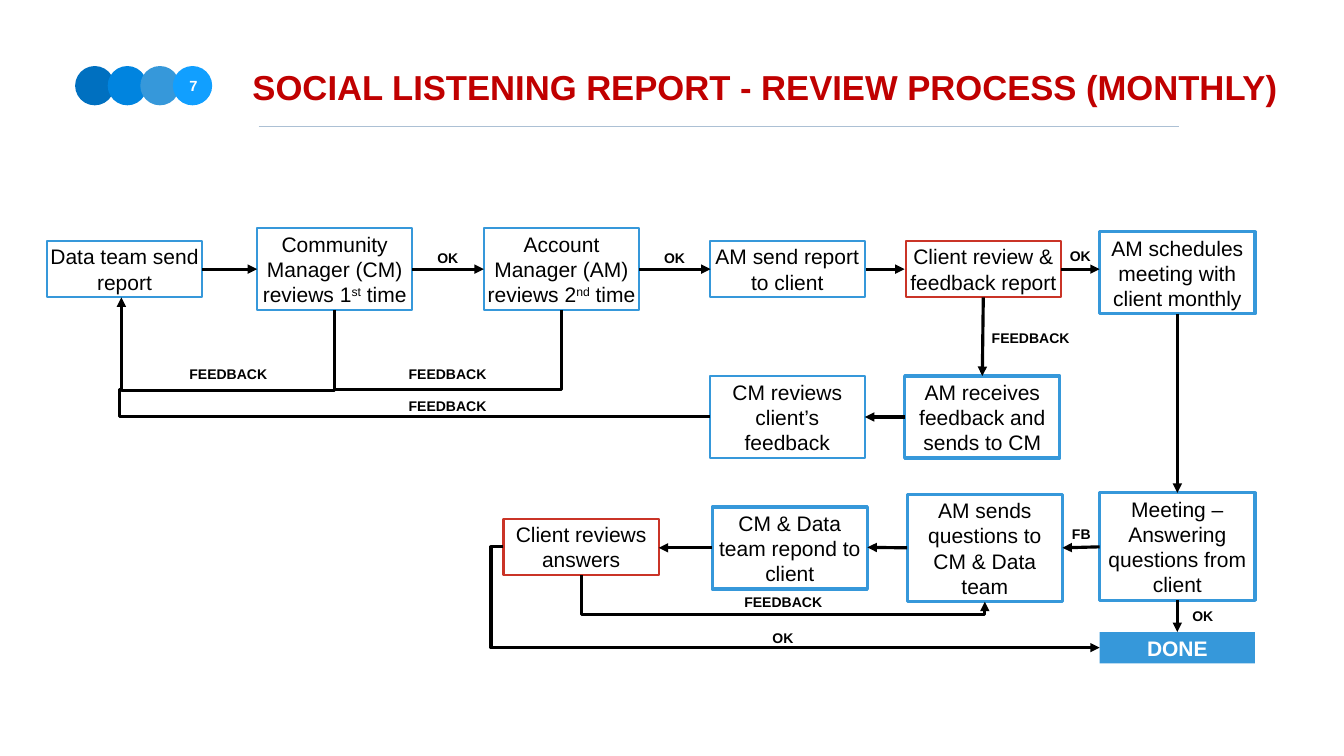
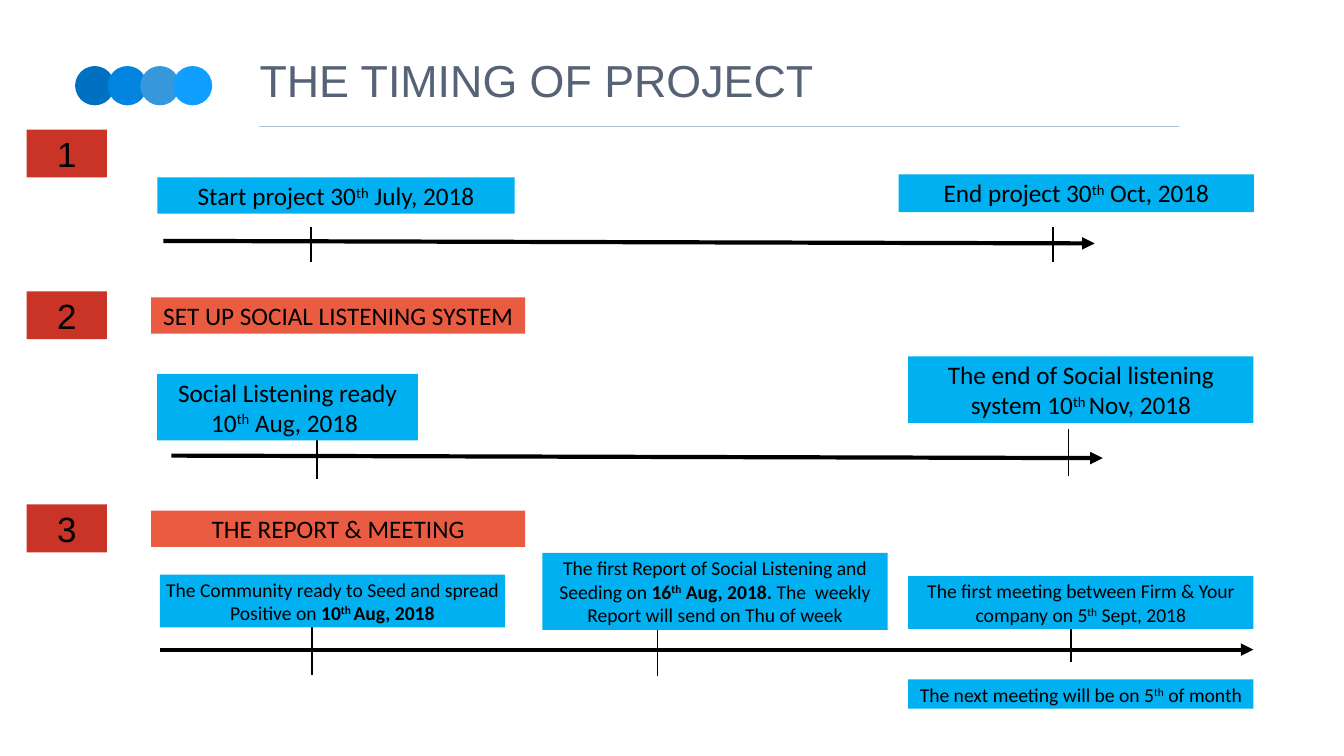
from dataclasses import dataclass

import pptx
import pptx.dml.color
import pptx.enum.shapes
import pptx.enum.text
import pptx.oxml
import pptx.oxml.ns
import pptx.util

# Grid: the slide is 80 columns by 45 rows of a third of an inch
COLUMNS, ROWS = 80, 45
CELL = pptx.util.Inches(1) / 3

COLORS = {
    "step": "3698DA", "client": "CA3427", "ink": "000000", "white": "FFFFFF",
    "alert": "C00000", "title": "566275", "rule": "ACC0D4",
    "flag": "00B0F0", "heading": "EA5C42",
}
DOTS = ["0070C0", "0084DF", "3698DA", "119FFF"]
MARGIN = pptx.util.Inches(0.06)
SHAPES = pptx.enum.shapes.MSO_SHAPE
CONNECTORS = pptx.enum.shapes.MSO_CONNECTOR
ALIGN = pptx.enum.text.PP_ALIGN
ANCHOR = pptx.enum.text.MSO_ANCHOR


@dataclass
class Style:
    size: float
    color: str = "ink"
    font: str = "Arial"
    bold: bool = False


@dataclass
class Step:
    left: float
    middle: float
    lines: int
    text: str
    color: str = "step"
    weight: float = 3


@dataclass
class Label:
    left: float
    top: float
    text: str = "OK"


@dataclass
class Arrow:
    start: tuple[float, float]
    end: tuple[float, float]
    weight: float = 4.5
    head: bool = True


@dataclass
class Elbow:
    """A bent line; bend is where its middle leg lies (None: one corner)."""
    start: tuple[float, float]
    end: tuple[float, float]
    bend: float | None
    vertical: bool = True
    head: bool = True


@dataclass
class Flag:
    left: float
    top: float
    width: float
    height: float
    text: str
    size: float = 36
    color: str = "flag"


STEP_STYLE = Style(30)
DONE_STYLE = Style(30, "white", bold=True)
LABEL_STYLE = Style(20, bold=True)
NUMBER_STYLE = Style(50)
LABEL_WIDTHS = {"OK": 1.59, "FB": 1.47, "FEEDBACK": 5.04}
STEP_WIDTH = 9.24


def grid(*lengths: float) -> list[int]:
    return [round(length * CELL) for length in lengths]


def rgb(name: str) -> pptx.dml.color.RGBColor:
    return pptx.dml.color.RGBColor.from_string(COLORS.get(name, name))


def write(shape, text: str, style: Style, align=ALIGN.CENTER, anchor=ANCHOR.MIDDLE,
          wrap: bool = True) -> None:
    """Fill a shape with text; *stars* mark bold, ^carets^ superscript."""
    frame = shape.text_frame
    frame.auto_size = pptx.enum.text.MSO_AUTO_SIZE.NONE
    frame.word_wrap = wrap
    frame.vertical_anchor = anchor
    frame.margin_left = frame.margin_right = MARGIN
    frame.margin_top = frame.margin_bottom = MARGIN
    para = frame.paragraphs[0]
    para.alignment = align
    for bold_turn, part in enumerate(text.split("*")):
        for raised_turn, words in enumerate(part.split("^")):
            if not words:
                continue
            span = para.add_run()
            span.text = words
            span.font.size = pptx.util.Pt(style.size)
            span.font.name = style.font
            span.font.bold = style.bold or bold_turn % 2 == 1
            span.font.color.rgb = rgb(style.color)
            if raised_turn % 2:
                span.font._element.set("baseline", "30000")


def add_box(page, area: tuple, fill: str | None = None, outline: str | None = None,
            weight: float = 3, kind=SHAPES.RECTANGLE):
    box = page.shapes.add_shape(kind, *grid(*area))
    box.shadow.inherit = False
    if fill:
        box.fill.solid()
        box.fill.fore_color.rgb = rgb(fill)
    else:
        box.fill.background()
    if outline:
        box.line.color.rgb = rgb(outline)
        box.line.width = pptx.util.Pt(weight)
    else:
        box.line.fill.background()
    return box


def finish_line(line, color: str, weight: float, head: bool) -> None:
    line.line.color.rgb = rgb(color)
    line.line.width = pptx.util.Pt(weight)
    if head:
        outline = line.line._get_or_add_ln()
        pptx.oxml.ns.qn("a:tailEnd")
        outline.append(pptx.oxml.parse_xml(
            f'<a:tailEnd {pptx.oxml.ns.nsdecls("a")} type="triangle"/>'))
    line.element.spPr.append(pptx.oxml.parse_xml(
        f'<a:effectLst {pptx.oxml.ns.nsdecls("a")}/>'))


def add_arrow(page, arrow: Arrow, color: str = "ink"):
    line = page.shapes.add_connector(CONNECTORS.STRAIGHT,
                                     *grid(*arrow.start, *arrow.end))
    finish_line(line, color, arrow.weight, arrow.head)
    return line


def add_elbow(page, elbow: Elbow) -> None:
    (x1, y1), (x2, y2) = elbow.start, elbow.end
    along, origin = x2 - x1, x1
    ends = (x1, y1, x2, y2)
    if elbow.vertical:
        # A first leg going down is a connector turned a quarter about its centre
        along, origin = y2 - y1, y1
        across = x1 - x2
        mid_x, mid_y = (x1 + x2) / 2, (y1 + y2) / 2
        ends = (mid_x - along / 2, mid_y - across / 2,
                mid_x + along / 2, mid_y + across / 2)
    line = page.shapes.add_connector(CONNECTORS.ELBOW, *grid(*ends))
    properties = line.element.spPr
    if elbow.vertical:
        properties.find(pptx.oxml.ns.qn("a:xfrm")).set("rot", "5400000")
    geometry = properties.find(pptx.oxml.ns.qn("a:prstGeom"))
    if elbow.bend is None:
        geometry.set("prst", "bentConnector2")
    else:
        share = round((elbow.bend - origin) / along * 100000)
        for old in list(geometry):
            geometry.remove(old)
        geometry.append(pptx.oxml.parse_xml(
            f'<a:avLst {pptx.oxml.ns.nsdecls("a")}>'
            f'<a:gd name="adj1" fmla="val {share}"/></a:avLst>'))
    finish_line(line, "ink", 4.5, elbow.head)


def add_step(page, step: Step) -> None:
    height = 0.32 + 1.52 * step.lines
    area = (step.left, step.middle - height / 2, STEP_WIDTH, height)
    write(add_box(page, area, None, step.color, step.weight), step.text, STEP_STYLE)


def add_text(page, area: tuple, text: str, style: Style, anchor=ANCHOR.MIDDLE) -> None:
    box = page.shapes.add_textbox(*grid(*area))
    write(box, text, style, anchor=anchor, wrap=False)


def add_page(deck, layout, title: str, area: tuple, style: Style):
    page = deck.slides.add_slide(layout)
    holder = page.shapes.title
    holder.left, holder.top, holder.width, holder.height = grid(*area)
    write(holder, title, style, ALIGN.LEFT, ANCHOR.TOP)
    return page


def dress_layout(layout, page) -> None:
    """Draw the dots and the title rule once and hand them to the layout."""
    for holder in list(layout.placeholders)[1:]:
        holder.element.getparent().remove(holder.element)
    shared = [add_box(page, (4.47 + 1.94 * turn, 3.93, 2.34, 2.34), color, kind=SHAPES.OVAL)
              for turn, color in enumerate(DOTS)]
    shared.append(add_arrow(page, Arrow((15.39, 7.53), (70.2, 7.53), 2, False), "rule"))
    for shape in shared:
        layout.shapes.element.append(shape.element)


# Review process content
STEPS = [
    Step(2.79, 16.02, 2, "Data team send report"),
    Step(15.3, 16.02, 3, "Community Manager (CM) reviews 1^st^ time"),
    Step(28.8, 16.02, 3, "Account Manager (AM) reviews 2^nd^ time"),
    Step(42.24, 16.02, 2, "AM send report to client"),
    Step(53.91, 16.02, 2, "Client review & feedback report", "client"),
    Step(65.46, 16.24, 3, "AM schedules meeting with client monthly", weight=4.5),
    Step(53.85, 24.82, 3, "AM receives feedback and sends to CM", weight=4.5),
    Step(42.24, 24.82, 3, "CM reviews client’s feedback"),
    Step(65.46, 32.54, 4, "Meeting – Answering questions from client", weight=4.5),
    Step(54, 32.62, 4, "AM sends questions to CM & Data team", weight=4.5),
    Step(42.39, 32.62, 3, "CM & Data team repond to client", weight=4.5),
    Step(29.97, 32.55, 2, "Client reviews answers", "client"),
]
ARROWS = [Arrow((start, 16.02), (end, 16.02)) for start, end in (
    (12.03, 15.3), (24.54, 28.8), (38.04, 42.3), (51.54, 53.85), (63.15, 65.46))] + [
    Arrow((58.53, 17.7), (58.47, 22.38)),
    Arrow((53.85, 24.82), (51.48, 24.82)),
    Arrow((70.08, 18.69), (70.08, 29.34)),
    Arrow((70.08, 35.73), (70.08, 37.62)),
    Arrow((65.46, 32.55), (63.24, 32.61)),
    Arrow((54, 32.61), (51.63, 32.58)),
    Arrow((42.39, 32.61), (39.21, 32.61)),
]
ELBOWS = [
    Elbow((19.92, 18.45), (7.23, 17.7), 23.25),
    Elbow((33.42, 18.45), (19.92, 23.19), None, head=False),
    Elbow((42.27, 24.81), (7.29, 23.19), 7.11, vertical=False, head=False),
    Elbow((34.59, 34.23), (58.62, 35.82), 36.57),
    Elbow((29.97, 32.55), (65.46, 38.55), 29.22, vertical=False),
]
LABELS = [
    Label(25.86, 14.67), Label(39.36, 14.67), Label(63.51, 14.55),
    Label(70.8, 36), Label(45.81, 37.32), Label(63.63, 31.08, "FB"),
    Label(58.83, 19.44, "FEEDBACK"), Label(11.07, 21.6, "FEEDBACK"),
    Label(24.12, 21.6, "FEEDBACK"), Label(24.12, 23.46, "FEEDBACK"),
    Label(44.1, 35.16, "FEEDBACK"),
]

# Timing content
FLAGS = [
    Flag(9.36, 10.56, 21.27, 2.16, "Start project 30^th^ July, 2018"),
    Flag(53.49, 10.38, 21.15, 2.25, "End project 30^th^ Oct, 2018"),
    Flag(9, 17.7, 22.26, 2.16, "SET UP SOCIAL LISTENING SYSTEM", color="heading"),
    Flag(9.36, 22.26, 15.51, 3.96, "Social Listening ready 10^th^ Aug, 2018 "),
    Flag(54.06, 21.21, 20.55, 3.96, "The end of Social listening system 10^th ^Nov, 2018"),
    Flag(9, 30.39, 22.26, 2.16, "THE REPORT & MEETING", color="heading"),
    Flag(9.51, 34.2, 20.55, 3.15,
         "The Community ready to Seed and spread Positive on *10^th ^Aug, 2018*", 28),
    Flag(32.28, 32.91, 20.55, 4.59,
         "The first Report of Social Listening and Seeding on *16^th^ Aug, 2018. *"
         "The  weekly Report will send on Thu of week", 28),
    Flag(54.06, 34.29, 20.55, 3.15,
         "The first meeting between Firm & Your company on 5^th^ Sept, 2018", 28),
    Flag(54.06, 40.44, 20.55, 1.74, "The next meeting will be on 5^th^ of month", 28),
]
TIMELINES = [
    Arrow((9.72, 14.34), (65.16, 14.49), 6),
    Arrow((10.2, 27.12), (65.64, 27.27), 6),
    Arrow((9.51, 38.67), (74.61, 38.67), 6),
]
# Tick marks: column, top row, length
TICKS = [
    (18.51, 13.5, 2.1), (62.67, 13.5, 2.1), (18.87, 25.71, 2.82), (63.6, 25.53, 2.82),
    (18.57, 37.35, 2.82), (39.15, 37.41, 2.82), (63.75, 36.6, 2.82),
]
NUMBER_TOPS = [7.71, 17.34, 30.03]


def draw_process(page) -> None:
    add_text(page, (10.86, 4.41, 1.32, 1.41), "7", Style(21, "white", bold=True), ANCHOR.TOP)
    for step in STEPS:
        add_step(page, step)
    done = add_box(page, (65.46, 37.62, STEP_WIDTH, 1.86), "step")
    write(done, "DONE", DONE_STYLE)
    for arrow in ARROWS:
        add_arrow(page, arrow)
    for elbow in ELBOWS:
        add_elbow(page, elbow)
    for label in LABELS:
        add_text(page, (label.left, label.top, LABEL_WIDTHS[label.text], 1.35),
                 label.text, LABEL_STYLE)


def draw_timing(page) -> None:
    for arrow in TIMELINES:
        add_arrow(page, arrow)
    for column, top, length in TICKS:
        add_arrow(page, Arrow((column, top), (column, top + length), 2, False))
    for flag in FLAGS:
        box = add_box(page, (flag.left, flag.top, flag.width, flag.height), flag.color)
        write(box, flag.text, Style(flag.size, font="Calibri"), anchor=ANCHOR.TOP)
    for number, top in enumerate(NUMBER_TOPS, 1):
        write(add_box(page, (1.59, top, 4.77, 2.85), "client"), str(number), NUMBER_STYLE)


# Build the deck
deck = pptx.Presentation()
deck.slide_width, deck.slide_height = grid(COLUMNS, ROWS)
title_only = deck.slide_layouts[5]
process = add_page(deck, title_only, "SOCIAL LISTENING REPORT - REVIEW PROCESS (MONTHLY)",
                   (14.85, 3.75, 64.32, 3.72), Style(49.5, "alert", bold=True))
dress_layout(title_only, process)
draw_process(process)
timing = add_page(deck, title_only, "THE TIMING OF PROJECT",
                  (15.27, 2.97, 60.39, 3.72), Style(64, "title"))
draw_timing(timing)
deck.save("out.pptx")
